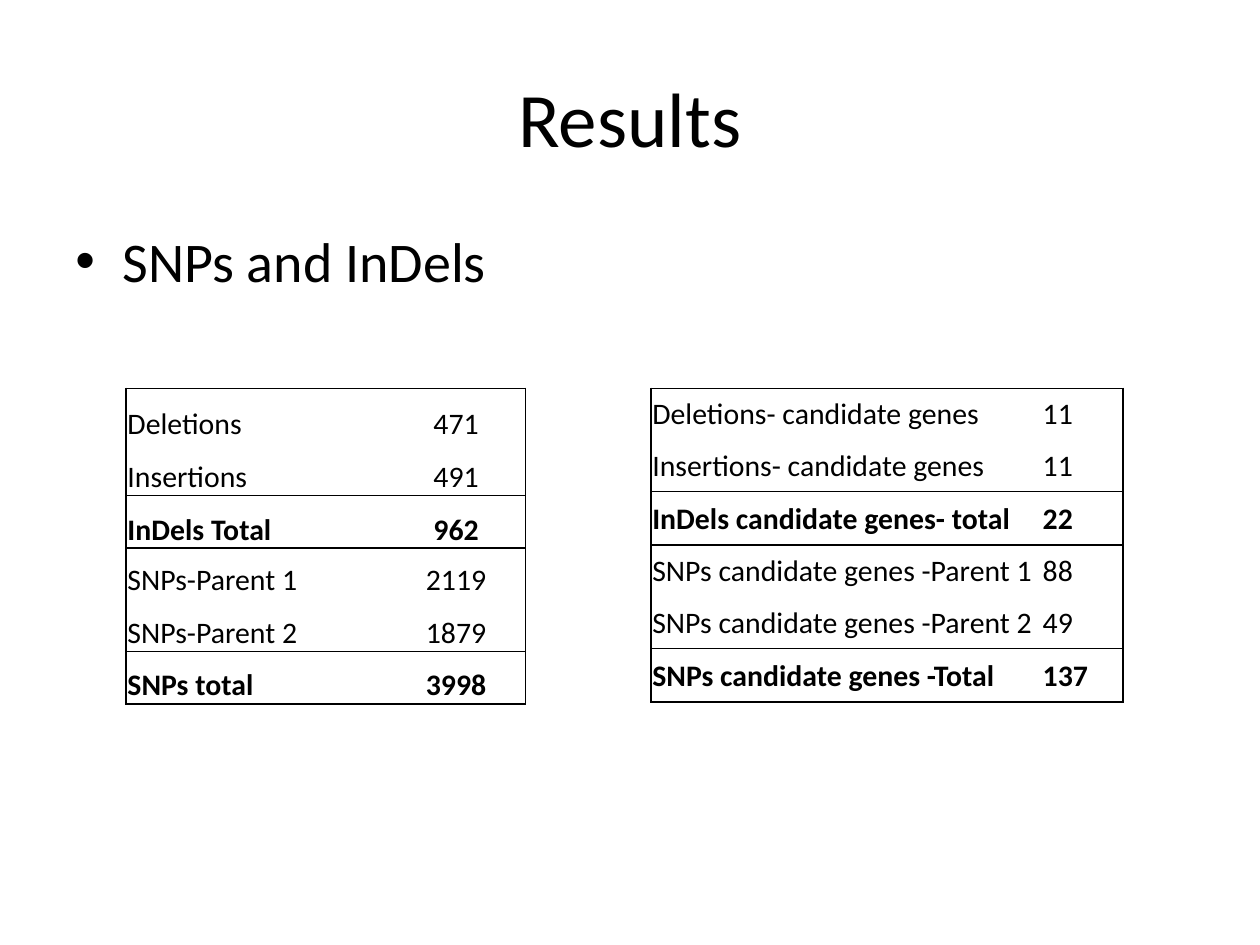
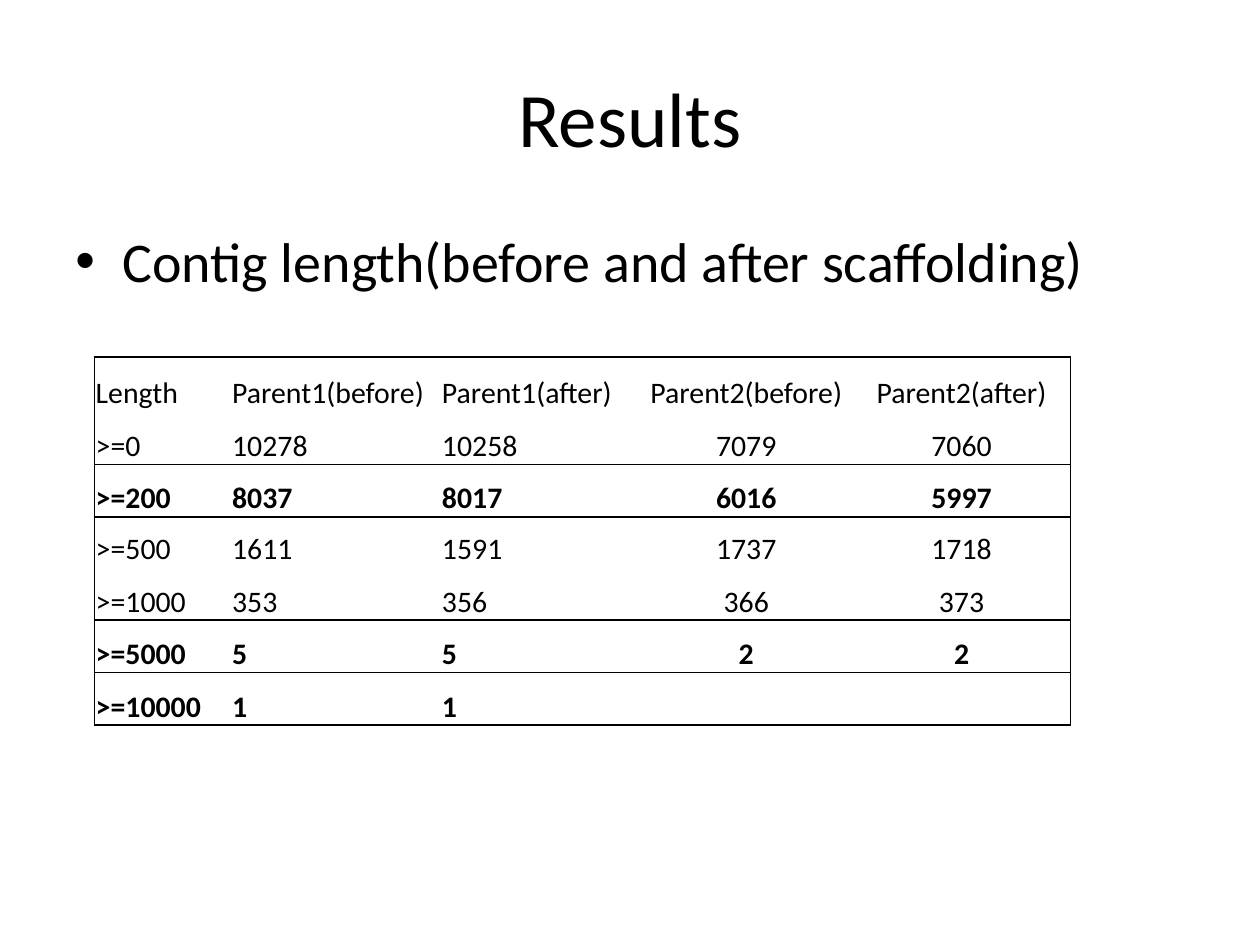
from lxml.etree import SubElement
from pptx import Presentation
from pptx.dml.color import RGBColor
from pptx.enum.text import MSO_ANCHOR as Anchor, PP_ALIGN as Align
from pptx.oxml.ns import qn
from pptx.util import Cm, Pt

BLACK = RGBColor(0x00, 0x00, 0x00)
WHITE = RGBColor(0xFF, 0xFF, 0xFF)
FONT = "Calibri"
TITLE = "Results"
LEFT, CENTER = Align.LEFT, Align.CENTER

variant_counts = [
    ("Deletions", "471"),
    ("Insertions", "491"),
    ("InDels Total", "962"),
    ("SNPs-Parent 1", "2119"),
    ("SNPs-Parent 2", "1879"),
    ("SNPs total", "3998"),
]
candidate_genes = [
    ("Deletions- candidate genes", "11"),
    ("Insertions- candidate genes", "11"),
    ("InDels candidate genes- total", "22"),
    ("SNPs candidate genes -Parent 1", "88"),
    ("SNPs candidate genes -Parent 2", "49"),
    ("SNPs candidate genes -Total", "137"),
]
contig_lengths = [
    ("Length", "Parent1(before)", "Parent1(after)", "Parent2(before)", "Parent2(after)"),
    (">=0", "10278", "10258", "7079", "7060"),
    (">=200", "8037", "8017", "6016", "5997"),
    (">=500", "1611", "1591", "1737", "1718"),
    (">=1000", "353", "356", "366", "373"),
    (">=5000", "5", "5", "2", "2"),
    (">=10000", "1", "1", "", ""),
]

bottom_heights = [1.1, 1.06, 1.06, 1.02, 1.06, 1.06]
middle_heights = [1.02, 1.06, 1.08] * 2
slides = [
    ("SNPs and InDels", [
        (candidate_genes, 13.12, 7.83, [7.87, 1.65], middle_heights,
         [LEFT, LEFT], Anchor.MIDDLE, {2, 5}),
        (variant_counts, 2.54, 7.83, [5.26, 2.79], bottom_heights,
         [LEFT, CENTER], Anchor.BOTTOM, {2, 5}),
    ]),
    ("Contig length(before and after scaffolding)", [
        (contig_lengths, 1.9, 7.2, [2.75, 4.23, 4.02, 4.29, 4.39], bottom_heights + [1.06],
         [LEFT, LEFT, LEFT, CENTER, CENTER], Anchor.BOTTOM, {2, 5, 6}),
    ]),
]


def add_text(paragraph, text, size, bold=False):
    run = paragraph.add_run()
    run.text = text
    run.font.name = FONT
    run.font.size = Pt(size)
    run.font.bold = bold
    run.font.color.rgb = BLACK


def set_borders(cell, drawn_sides):
    properties = cell._tc.get_or_add_tcPr()
    for side in "LRTB":
        line = SubElement(properties, qn(f"a:ln{side}"), w=str(Pt(1)))
        if side in drawn_sides:
            fill = SubElement(line, qn("a:solidFill"))
            SubElement(fill, qn("a:srgbClr"), val=str(BLACK))
        else:
            SubElement(line, qn("a:noFill"))


presentation = Presentation()
presentation.slide_width = Cm(25.4)
presentation.slide_height = Cm(19.05)

for bullet_text, tables in slides:
    slide = presentation.slides.add_slide(presentation.slide_layouts[6])

    title_frame = slide.shapes.add_textbox(Cm(1.27), Cm(0.76), Cm(22.86), Cm(3.18)).text_frame
    title_frame.word_wrap = True
    title_frame.vertical_anchor = Anchor.MIDDLE
    title_frame.paragraphs[0].alignment = CENTER
    add_text(title_frame.paragraphs[0], TITLE, 44)

    body_frame = slide.shapes.add_textbox(Cm(1.27), Cm(4.45), Cm(22.86), Cm(12.57)).text_frame
    body_frame.word_wrap = True
    paragraph = body_frame.paragraphs[0]
    paragraph.space_before = Pt(6.4)
    bullet_properties = paragraph._p.get_or_add_pPr()
    bullet_properties.set("marL", str(Cm(0.95)))
    bullet_properties.set("indent", str(Cm(-0.95)))
    SubElement(bullet_properties, qn("a:buFont"), typeface="Arial")
    SubElement(bullet_properties, qn("a:buChar"), char="•")
    add_text(paragraph, bullet_text, 32)

    for rows, left, top, widths, heights, alignments, anchor, bold_rows in tables:
        last_row, last_column = len(rows) - 1, len(widths) - 1
        table = slide.shapes.add_table(
            len(rows), len(widths), Cm(left), Cm(top), Cm(sum(widths)), Cm(sum(heights))
        ).table
        table.first_row = False
        table.horz_banding = False
        for column, width in zip(table.columns, widths):
            column.width = Cm(width)
        for row, height in zip(table.rows, heights):
            row.height = Cm(height)

        for row_index, values in enumerate(rows):
            bold = row_index in bold_rows
            row_sides = ""
            if row_index == 0 or bold or row_index - 1 in bold_rows:
                row_sides += "T"
            if row_index == last_row or bold or row_index + 1 in bold_rows:
                row_sides += "B"
            for column_index, value in enumerate(values):
                cell = table.cell(row_index, column_index)
                cell.margin_left = cell.margin_right = cell.margin_top = Cm(0.03)
                cell.margin_bottom = 0
                cell.vertical_anchor = anchor
                sides = row_sides
                if column_index == 0:
                    sides += "L"
                if column_index == last_column:
                    sides += "R"
                set_borders(cell, sides)
                cell.fill.solid()
                cell.fill.fore_color.rgb = WHITE
                if value:
                    paragraph = cell.text_frame.paragraphs[0]
                    paragraph.alignment = alignments[column_index]
                    add_text(paragraph, value, 17, bold)

presentation.save("out.pptx")
